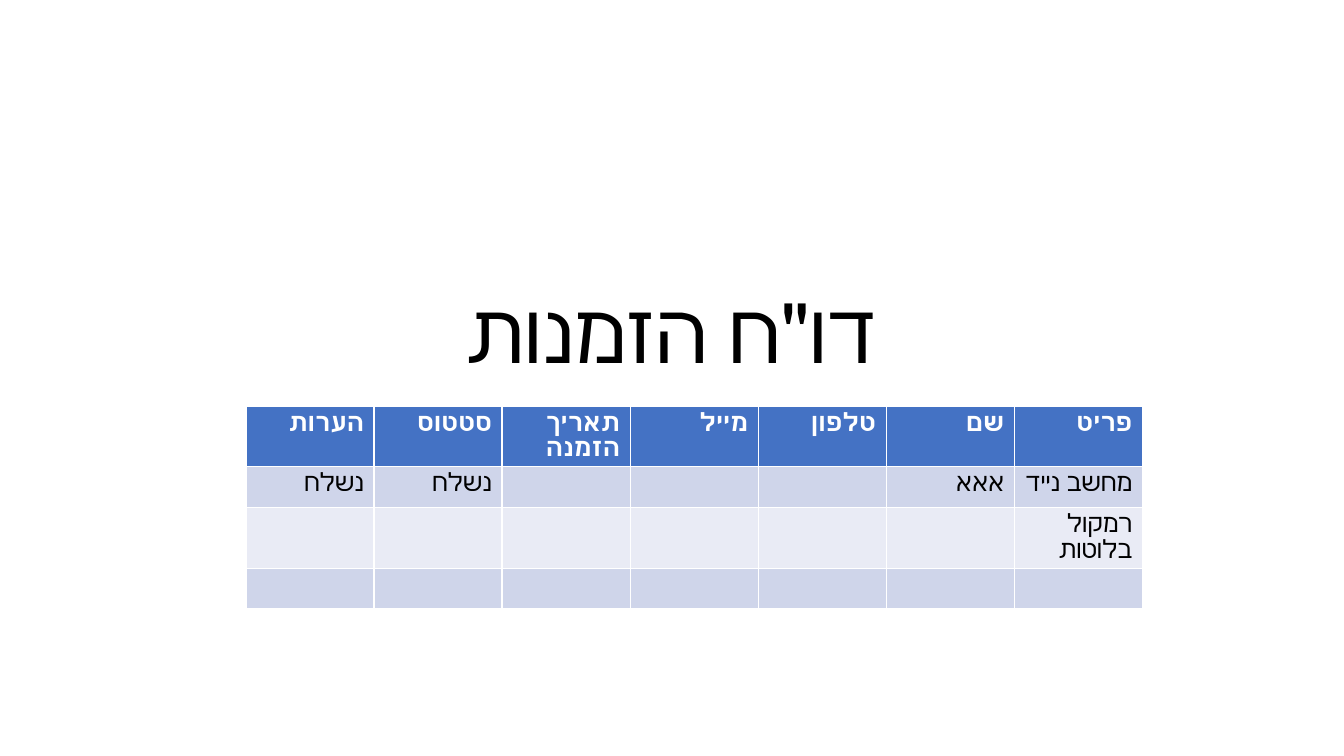
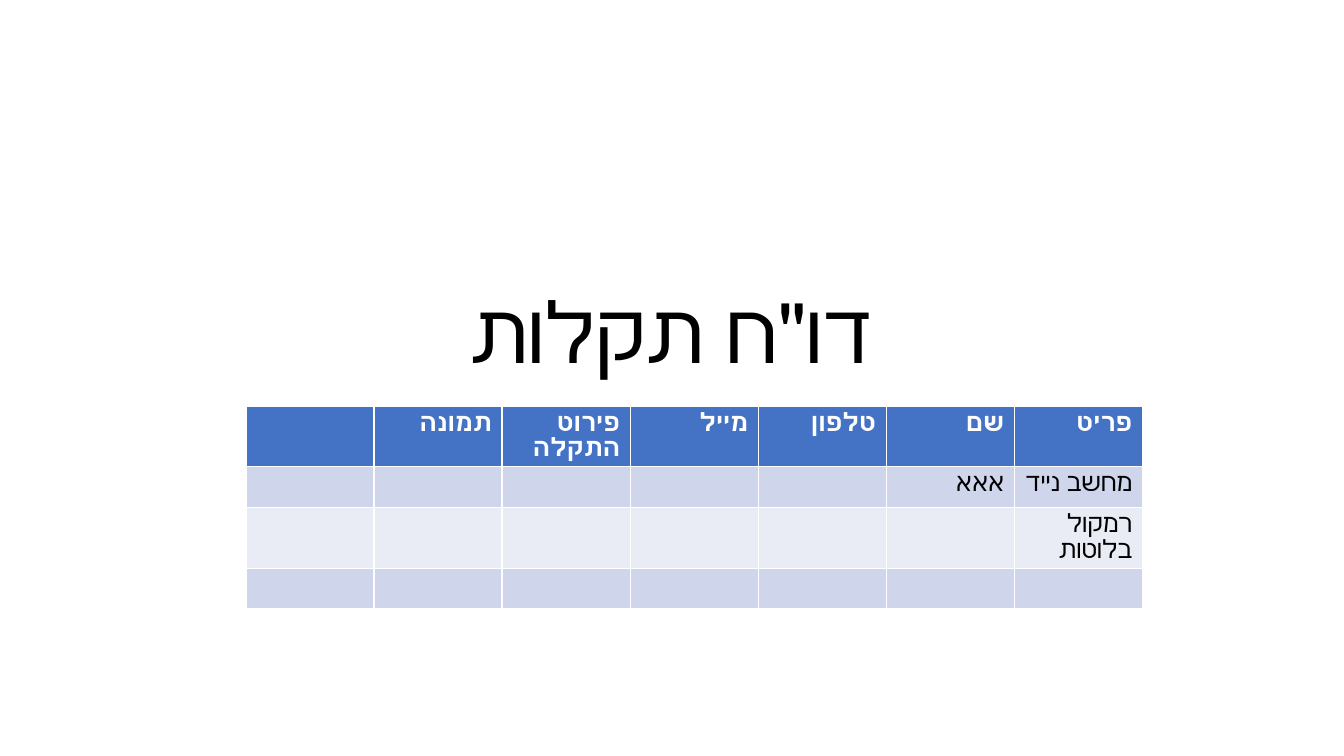
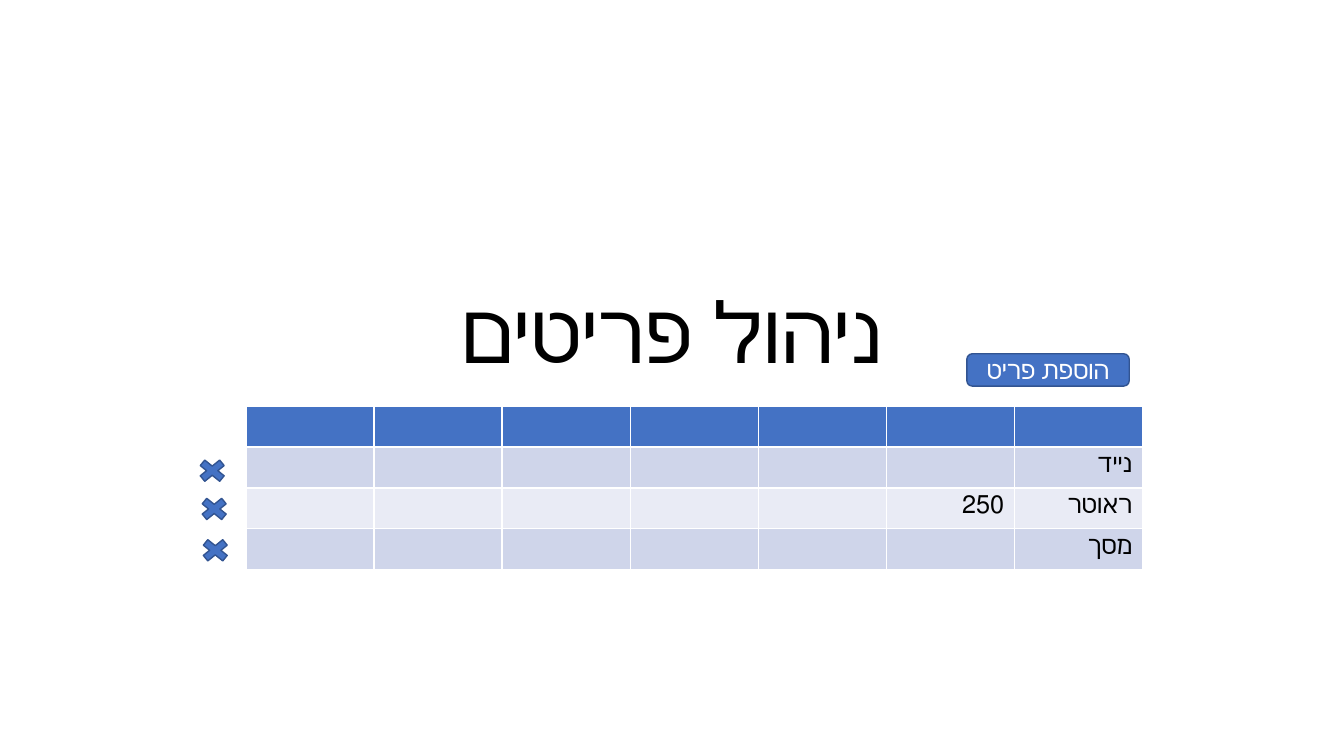
import dataclasses
import pptx
import pptx.util
import pptx.dml.color
import pptx.enum.shapes
import pptx.enum.text

SHAPE = pptx.enum.shapes.MSO_SHAPE
ALIGN = pptx.enum.text.PP_ALIGN
ANCHOR = pptx.enum.text.MSO_ANCHOR
FIT = pptx.enum.text.MSO_AUTO_SIZE


@dataclasses.dataclass(frozen=True)
class Theme:
    font: str = "Calibri"
    blue: str = "4472C4"
    edge: str = "325491"
    bands: tuple = ("CFD5EA", "E9EBF5")
    ink: str = "000000"
    white: str = "FFFFFF"
    head: int = 60
    body: int = 18
    line: float = 1


def color(code):
    return pptx.dml.color.RGBColor.from_string(code)


class Deck:
    def __init__(self, theme):
        self.theme = theme
        self.show = pptx.Presentation()
        self.show.slide_width = pptx.util.Inches(13.33)
        self.show.slide_height = pptx.util.Inches(7.5)
        self.slide = None

    def box(self, left, top, wide, high):
        across = self.show.slide_width / 100
        down = self.show.slide_height / 100
        return [round(n) for n in (left * across, top * down, wide * across, high * down)]

    def label(self, frame, text, size, ink, align, bold=False):
        frame.text = text
        para = frame.paragraphs[0]
        para.alignment = align
        para._p.get_or_add_pPr().set("rtl", "1")
        for run in para.runs:
            font = run.font
            font.name = self.theme.font
            font.size = pptx.util.Pt(size)
            font.bold = bold
            font.color.rgb = color(ink)
        return para

    def page(self, text):
        self.slide = self.show.slides.add_slide(self.show.slide_layouts[0])
        under = self.slide.placeholders[1].element
        under.getparent().remove(under)
        title = self.slide.shapes.title
        title.left, title.top, title.width, title.height = self.box(12.5, 16.4, 75, 34.8)
        frame = title.text_frame
        frame.auto_size = FIT.NONE
        frame.word_wrap = True
        frame.vertical_anchor = ANCHOR.BOTTOM
        para = self.label(frame, text, self.theme.head, self.theme.ink, ALIGN.CENTER)
        para.line_spacing = 0.9

    def table(self, rows, count=7, high=5.41):
        theme = self.theme
        area = self.box(18.3, 53.73, 66.7, high * len(rows))
        grid = self.slide.shapes.add_table(len(rows), count, *area).table
        for r, row in enumerate(rows):
            top = r == 0
            for c in range(count):
                cell = grid.cell(r, count - 1 - c)
                cell.fill.solid()
                cell.fill.fore_color.rgb = color(theme.blue if top else theme.bands[(r - 1) % 2])
                text = row[c] if c < len(row) else ""
                ink = theme.white if top else theme.ink
                self.label(cell.text_frame, text, theme.body, ink, ALIGN.RIGHT, top)

    def shape(self, kind, *area):
        item = self.slide.shapes.add_shape(kind, *self.box(*area))
        item.shadow.inherit = False
        item.fill.solid()
        item.fill.fore_color.rgb = color(self.theme.blue)
        item.line.color.rgb = color(self.theme.edge)
        item.line.width = pptx.util.Pt(self.theme.line)
        return item

    def cross(self, left, top):
        self.shape(SHAPE.MATH_MULTIPLY, left, top, 2.78, 4)

    def button(self, text, *area):
        frame = self.shape(SHAPE.ROUNDED_RECTANGLE, *area).text_frame
        frame.vertical_anchor = ANCHOR.MIDDLE
        self.label(frame, text, self.theme.body, self.theme.white, ALIGN.CENTER)


deck = Deck(Theme())
who = ["פריט", "שם", "טלפון", "מייל"]
laptop = ["מחשב נייד", "אאא"]
speaker = ["רמקול בלוטות"]

deck.page("דו\"ח הזמנות")
deck.table([
    who + ["תאריך הזמנה", "סטטוס", "הערות"],
    laptop + ["", "", "", "נשלח", "נשלח "],
    speaker,
    [],
])

deck.page("דו\"ח תקלות")
deck.table([who + ["פירוט התקלה", "תמונה"], laptop, speaker, []])

deck.page("ניהול פריטים")
deck.table([[], ["נייד"], ["ראוטר", "250"], ["מסך"]])
for left, top in ((14.4, 60.27), (14.55, 65.33), (14.63, 70.8)):
    deck.cross(left, top)
deck.button("הוספת פריט", 71.94, 46.8, 12.08, 4.27)

deck.show.save("out.pptx")
